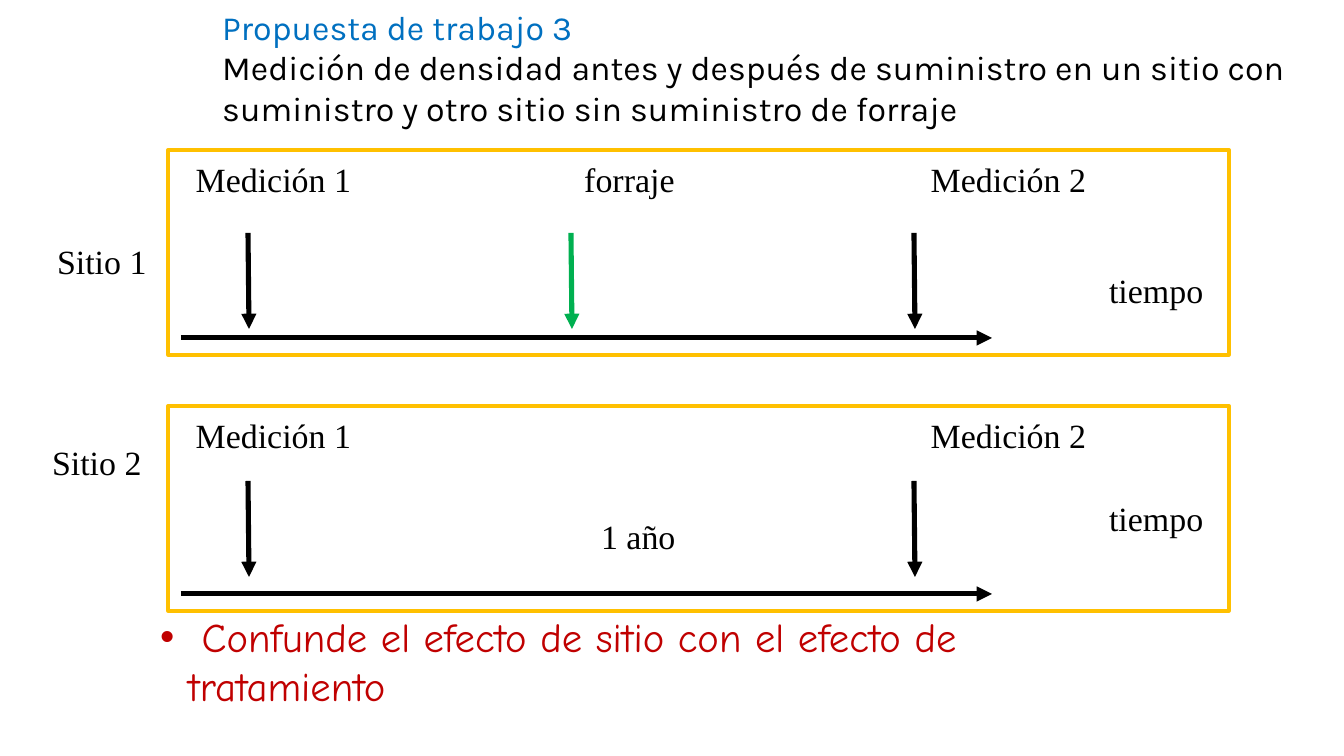
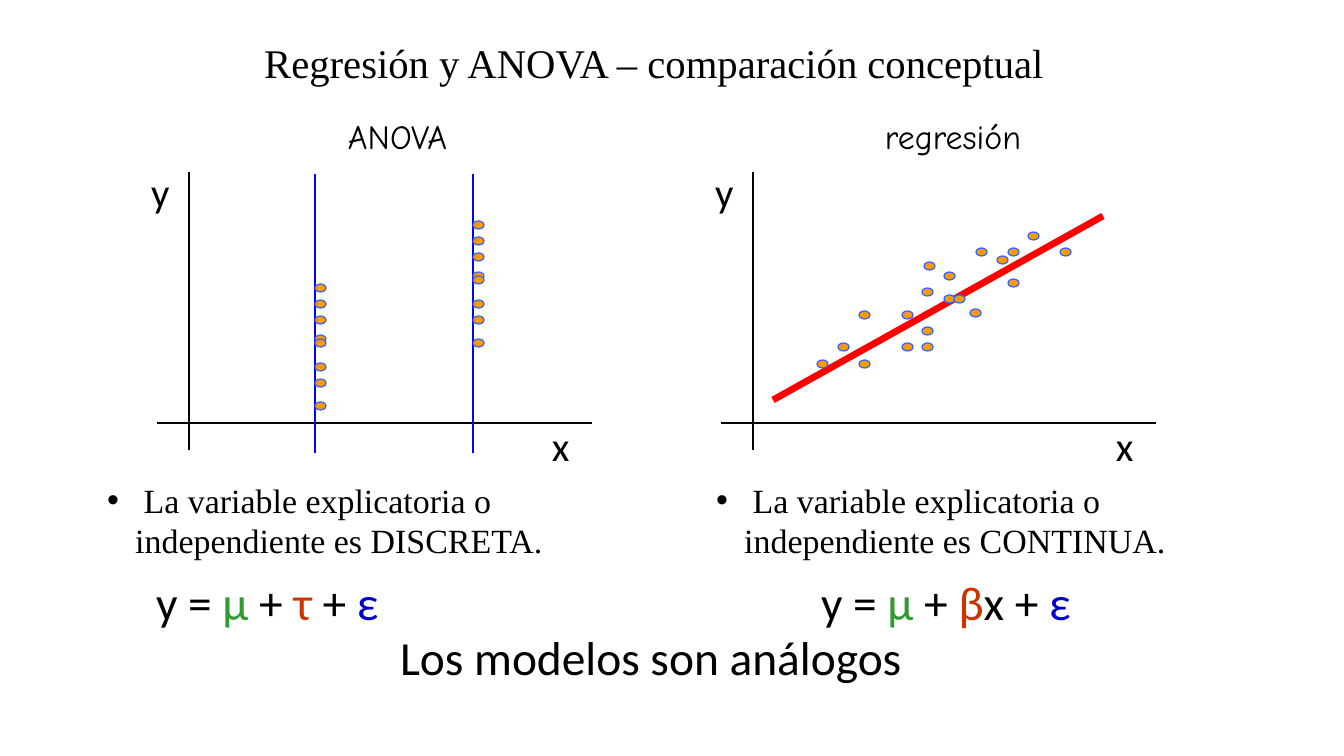
from lxml.etree import SubElement
from pptx import Presentation
from pptx.dml.color import RGBColor
from pptx.enum.shapes import MSO_CONNECTOR as LINK, MSO_SHAPE as SHAPE
from pptx.enum.text import MSO_ANCHOR as ANCHOR, MSO_AUTO_SIZE as FIT, PP_ALIGN as ALIGN
from pptx.oxml.ns import qn
from pptx.util import Emu, Pt

SCALE = 7495
BLACK, RED, BLUE = "000000", "C00000", "0070C0"
GREEN, AMBER = "00B050", "FFC000"
SERIF, SANS, HAND, HEADLINE = "Times New Roman", "Calibri", "Comic Neue", "Karla"


def px(*lengths):
    return [Emu(length * SCALE) for length in lengths]


def color(code):
    return RGBColor.from_string(code)


def add_bullet(para, code):
    props = para._p.get_or_add_pPr()
    indent = 28 * SCALE
    props.set("marL", str(indent))
    props.set("indent", str(-indent))
    tint = SubElement(props, qn("a:buClr"))
    SubElement(tint, qn("a:srgbClr"), val=code)
    SubElement(props, qn("a:buFont"), typeface="Arial")
    SubElement(props, qn("a:buChar"), char="•")


def write(frame, paras, font=SERIF, size=20, ink=BLACK, align=ALIGN.LEFT,
          wrap=True, bullet=False):
    frame.auto_size = FIT.NONE
    frame.word_wrap = wrap
    frame.vertical_anchor = ANCHOR.TOP
    frame.margin_left = frame.margin_right = Pt(7.2)
    frame.margin_top = frame.margin_bottom = Pt(3.6)
    if isinstance(paras, str):
        paras = [[(paras, ink)]]
    for index, spans in enumerate(paras):
        para = frame.add_paragraph() if index else frame.paragraphs[0]
        para.alignment = align
        para.space_before = Pt(0)
        if bullet:
            add_bullet(para, ink)
        for text, code in spans:
            span = para.add_run()
            span.text = text
            span.font.name = font
            span.font.size = Pt(size)
            span.font.color.rgb = color(code)


class Deck:
    def __init__(self, width, height):
        self.deck = Presentation()
        self.deck.slide_width, self.deck.slide_height = px(width, height)
        self.page = None

    def new_page(self, layout):
        self.page = self.deck.slides.add_slide(self.deck.slide_layouts[layout])

    def holder(self, index, area, text, **style):
        box = self.page.placeholders[index]
        box.left, box.top, box.width, box.height = px(*area)
        write(box.text_frame, text, **style)

    def label(self, area, text, **style):
        box = self.page.shapes.add_textbox(*px(*area))
        write(box.text_frame, text, **style)

    def line(self, start, end, ink=BLACK, weight=1.5, arrow=False):
        link = self.page.shapes.add_connector(LINK.STRAIGHT, *px(*start, *end))
        link.line.color.rgb = color(ink)
        link.line.width = Pt(weight)
        props = link._element.spPr
        if arrow:
            SubElement(props.find(qn("a:ln")), qn("a:tailEnd"), type="triangle")
        SubElement(props, qn("a:effectLst"))

    def shape(self, kind, area, ink, weight, fill=None):
        shape = self.page.shapes.add_shape(kind, *px(*area))
        shape.shadow.inherit = False
        shape.line.color.rgb = color(ink)
        shape.line.width = Pt(weight)
        if fill:
            shape.fill.solid()
            shape.fill.fore_color.rgb = color(fill)
        else:
            shape.fill.background()

    def dot(self, left, top):
        self.shape(SHAPE.OVAL, (left, top, 11, 8), "3366FF", 0.75, "FF9900")

    def site(self, top, arrow_top, time_top, name, name_at, events):
        self.shape(SHAPE.RECTANGLE, (168, top, 1061, 205), AMBER, 2)
        self.line((181, top + 188), (992, top + 188), weight=3, arrow=True)
        for text, label_left, arrow_left, ink in events:
            self.label((label_left, top + 3, 273, 54), text, align=ALIGN.CENTER)
            self.line((arrow_left, arrow_top), (arrow_left + 1, arrow_top + 96),
                      ink, 3, arrow=True)
        self.label((1097, time_top, 118, 54), "tiempo", wrap=False)
        self.label((*name_at, 113, 54), name, wrap=False)

    def axes(self, left):
        self.line((left + 32, 172), (left + 32, 450))
        self.line((left, 423), (left + 435, 423))
        self.label((left - 18, 161, 43, 61), "y", font=SANS, size=24, wrap=False)
        self.label((left + 383, 415, 41, 61), "x", font=SANS, size=24, wrap=False)


def build_proposal(deck):
    deck.new_page(1)
    deck.holder(0, (210, 0, 1103, 134), [
        [("Propuesta de trabajo 3", BLUE)],
        [("Medición de densidad antes y después de suministro en un sitio con "
          "suministro y otro sitio sin suministro de forraje", BLACK)],
    ], font=HEADLINE)
    first = ("Medición 1", 137, 248, BLACK)
    fodder = ("forraje", 493, 571, GREEN)
    second = ("Medición 2", 872, 914, BLACK)
    deck.site(150, 233, 264, "Sitio 1", (45, 235), [first, fodder, second])
    deck.site(406, 481, 492, "Sitio 2", (40, 436), [first, second])
    deck.label((589, 510, 99, 54), "1 año", wrap=False)
    deck.holder(1, (148, 606, 1020, 110),
                " Confunde el efecto de sitio con el efecto de tratamiento",
                font=HAND, size=24, ink=RED, bullet=True)


def build_comparison(deck):
    deck.new_page(3)
    deck.holder(0, (252, 32, 824, 61), "Regresión y ANOVA – comparación conceptual",
                size=24)
    deck.label((336, 110, 126, 54), "ANOVA", font=HAND, wrap=False)
    deck.label((873, 110, 162, 54), "regresión", font=HAND, wrap=False)
    for left in (157, 721):
        deck.axes(left)

    for left, top in ((315, 284), (473, 221)):
        deck.line((left, 174), (left, 453), "0000FF")
        for step in (0, 16, 32, 51, 55, 79, 95, 118):
            deck.dot(left, top + step)

    deck.line((773, 400), (1103, 216), "FF0000", 4)
    points = [
        (817, 360), (838, 343), (859, 311), (859, 360), (902, 311),
        (902, 343), (922, 288), (922, 327), (922, 343), (924, 262),
        (944, 272), (944, 295), (954, 295), (970, 309), (976, 248),
        (997, 256), (1008, 248), (1008, 279), (1028, 232), (1060, 248),
    ]
    for point in points:
        deck.dot(*point)

    for index, left, width, kind in ((1, 95, 578, "DISCRETA"), (2, 704, 567, "CONTINUA")):
        deck.holder(index, (left, 473, width, 94),
                    f" La variable explicatoria o independiente es {kind}.", bullet=True)

    for left, effect, factor in ((144, "τ", ""), (809, "β", "x")):
        deck.label((left, 567, 370, 70), [[
            ("y = ", BLACK), ("µ", "339933"), (" + ", BLACK),
            (effect, "CC3300"), (factor + " + ", BLACK), ("ε", "0000CC"),
        ]], font=SANS, size=28)
    deck.label((388, 622, 526, 70), "Los modelos son análogos",
               font=SANS, size=28, wrap=False)


def main():
    deck = Deck(1344, 756)
    build_proposal(deck)
    build_comparison(deck)
    deck.deck.save("out.pptx")


if __name__ == "__main__":
    main()
